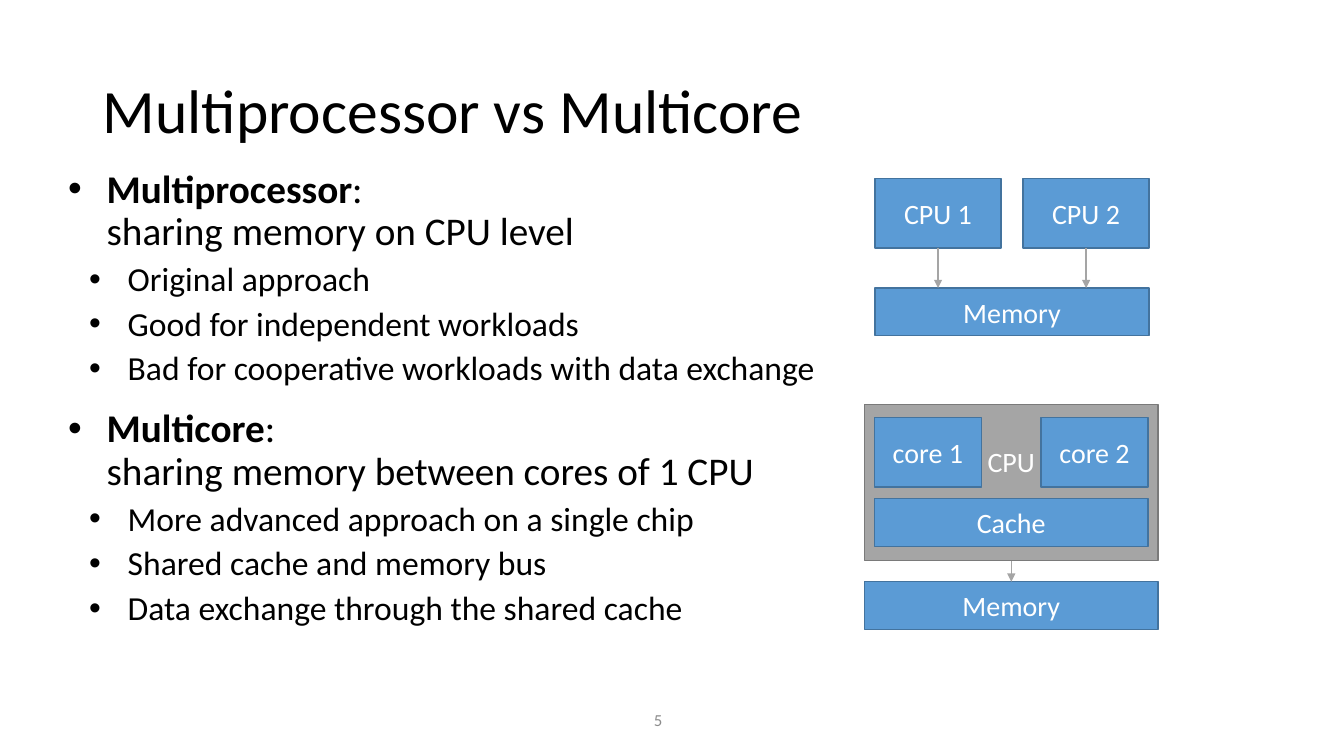
from dataclasses import dataclass

from lxml import etree
from pptx import Presentation
from pptx.dml.color import RGBColor
from pptx.enum.shapes import MSO_CONNECTOR, MSO_SHAPE
from pptx.enum.text import MSO_ANCHOR, PP_ALIGN
from pptx.oxml.ns import qn
from pptx.util import Cm, Pt

RECT = MSO_SHAPE.RECTANGLE
LINE = MSO_CONNECTOR.STRAIGHT
TOP, MIDDLE = MSO_ANCHOR.TOP, MSO_ANCHOR.MIDDLE
CENTER = PP_ALIGN.CENTER
ABOVE, BELOW = 0, 2


@dataclass(frozen=True)
class Theme:
    font: str = "Calibri"
    ink: str = "000000"
    light: str = "FFFFFF"
    muted: str = "8C8C8C"
    blue: str = "5B9BD5"
    edge: str = "43739E"
    gray: str = "A5A5A5"
    rim: str = "7A7A7A"
    title: int = 44
    head: int = 28
    item: int = 24
    label: int = 20
    number: int = 12


THEME = Theme()

TOPICS = [
    ("Multiprocessor", "sharing memory on CPU level", [
        "Original approach",
        "Good for independent workloads",
        "Bad for cooperative workloads with data exchange",
    ]),
    ("Multicore", "sharing memory between cores of 1 CPU", [
        "More advanced approach on a single chip",
        "Shared cache and memory bus",
        "Data exchange through the shared cache",
    ]),
]


def style(para, size, color):
    para.font.name = THEME.font
    para.font.size = Pt(size)
    para.font.color.rgb = RGBColor.from_string(color)


def add_text(slide, box, anchor):
    frame = slide.shapes.add_textbox(*map(Cm, box)).text_frame
    frame.word_wrap = True
    frame.vertical_anchor = anchor
    return frame


def add_line(slide, box, text, size, color):
    para = add_text(slide, box, MIDDLE).paragraphs[0]
    para.text = text
    para.line_spacing = 0.9
    style(para, size, color)


def add_point(frame, level, gap, size):
    first = not frame.paragraphs[0].runs
    para = frame.paragraphs[0] if first else frame.add_paragraph()
    para.level = level
    props = para._p.get_or_add_pPr()
    props.set("marL", str(Cm((0.97, 1.5)[level])))
    props.set("indent", str(Cm(-0.97)))
    etree.SubElement(props, qn("a:buFont")).set("typeface", "Arial")
    etree.SubElement(props, qn("a:buChar")).set("char", "•")
    para.line_spacing = 0.9
    if not first:
        para.space_before = Pt(gap)
    style(para, size, THEME.ink)
    return para


def add_topics(slide, box):
    frame = add_text(slide, box, TOP)
    for name, gist, items in TOPICS:
        para = add_point(frame, 0, 15, THEME.head)
        run = para.add_run()
        run.text = name
        run.font.bold = True
        para.add_run().text = ":"
        para.add_line_break()
        para.add_run().text = gist
        for item in items:
            add_point(frame, 1, 6, THEME.item).add_run().text = item


def add_block(group, box, text, fill=THEME.blue, edge=THEME.edge):
    block = group.shapes.add_shape(RECT, *map(Cm, box))
    block.shadow.inherit = False
    block.fill.solid()
    block.fill.fore_color.rgb = RGBColor.from_string(fill)
    block.line.color.rgb = RGBColor.from_string(edge)
    block.line.width = Pt(1)
    frame = block.text_frame
    frame.word_wrap = False
    frame.vertical_anchor = MIDDLE
    para = frame.paragraphs[0]
    para.text = text
    para.alignment = CENTER
    style(para, THEME.label, THEME.light)
    return block


def add_arrow(group, source, target):
    mid = source.left + source.width // 2
    arrow = group.shapes.add_connector(
        LINE, mid, source.top + source.height, mid, target.top)
    arrow.begin_connect(source, BELOW)
    if mid == target.left + target.width // 2:
        arrow.end_connect(target, ABOVE)
    arrow.line.color.rgb = RGBColor.from_string(THEME.gray)
    arrow.line.width = Pt(1)
    etree.SubElement(arrow.line._get_or_add_ln(), qn("a:tailEnd")).set("type", "triangle")
    etree.SubElement(arrow._element.spPr, qn("a:effectLst"))


def add_pair(slide, box):
    x, y, w, h = box
    wide, tall, bar = 3.18, 1.75, 1.2
    group = slide.shapes.add_group_shape()
    cpus = [add_block(group, (left, y, wide, tall), f"CPU {n}")
            for n, left in enumerate((x, x + w - wide), 1)]
    memory = add_block(group, (x, y + h - bar, w, bar), "Memory")
    for cpu in cpus:
        add_arrow(group, cpu, memory)


def add_chip(slide, box):
    x, y, w, h = box
    pad, wide, tall, bar, body = 0.25, 2.69, 1.75, 1.2, 3.94
    group = slide.shapes.add_group_shape()
    chip = add_block(group, (x, y, w, body), "CPU", THEME.gray, THEME.rim)
    chip.text_frame.vertical_anchor = TOP
    chip.text_frame.margin_top = Cm(1)
    for n, left in enumerate((x + pad, x + w - pad - wide), 1):
        add_block(group, (left, y + 0.33, wide, tall), f"core {n}")
    add_block(group, (x + pad, y + 2.38, w - 2 * pad, bar), "Cache")
    memory = add_block(group, (x, y + h - bar, w, bar), "Memory")
    add_arrow(group, chip, memory)


def main():
    deck = Presentation()
    deck.slide_width, deck.slide_height = Cm(33.87), Cm(19.05)
    slide = deck.slides.add_slide(deck.slide_layouts[6])
    add_line(slide, (16.23, 17.65, 2, 1.02), "5", THEME.number, THEME.muted)
    add_line(slide, (2.34, 1.02, 29.2, 3.68), "Multiprocessor vs Multicore",
             THEME.title, THEME.ink)
    add_topics(slide, (1.47, 4.14, 19.48, 14.17))
    add_pair(slide, (22.05, 4.5, 6.91, 3.96))
    add_chip(slide, (21.79, 10.19, 7.39, 5.67))
    deck.save("out.pptx")


if __name__ == "__main__":
    main()
